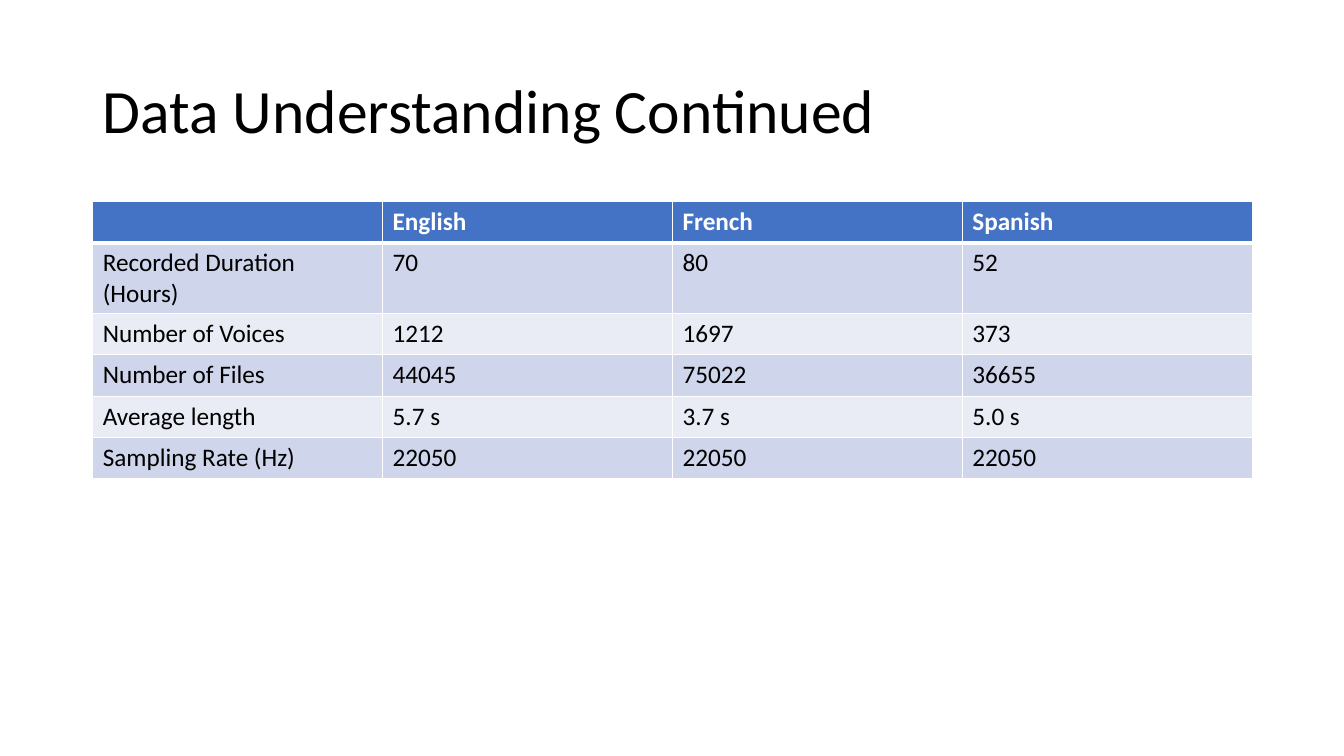
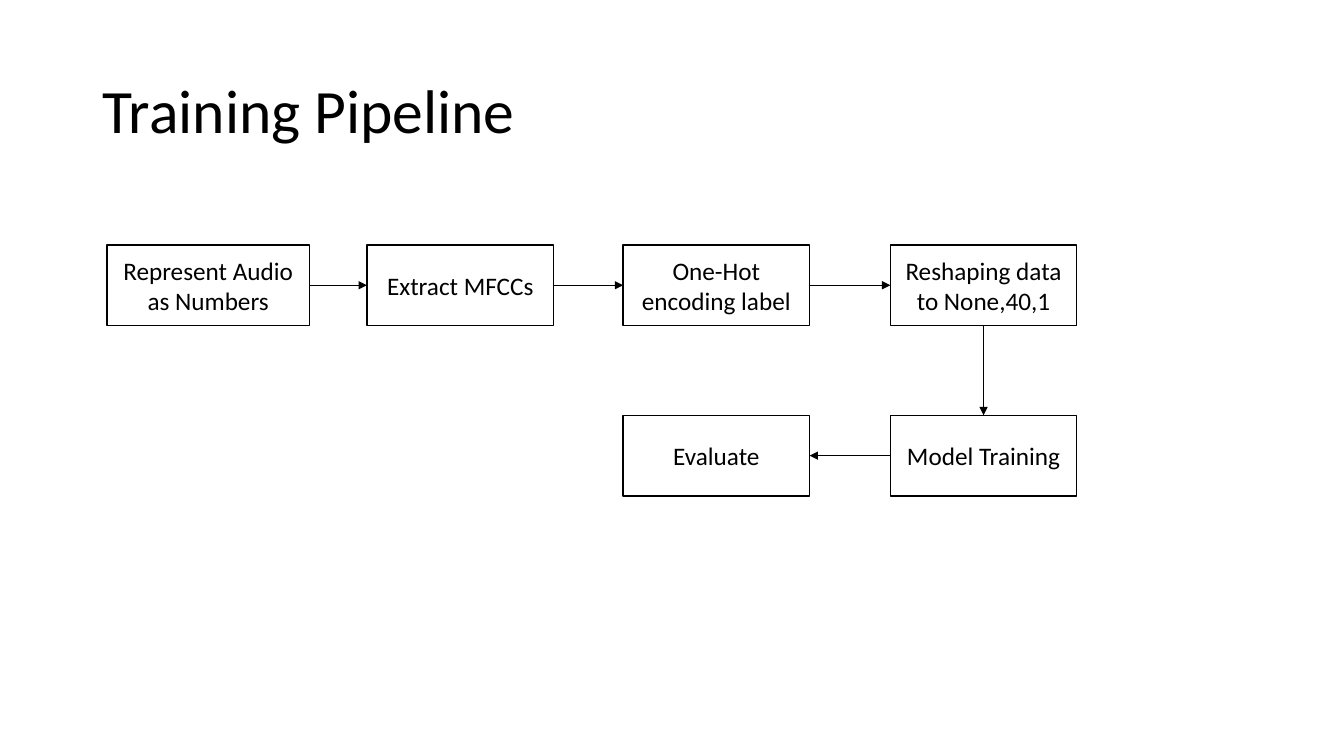
import pptx
import pptx.util
import pptx.dml.color
import pptx.enum.shapes
import pptx.enum.text
import pptx.oxml
import pptx.oxml.ns
import lxml.etree

Inches, Pt = pptx.util.Inches, pptx.util.Pt
ANCHOR = pptx.enum.text.MSO_ANCHOR
ALIGN = pptx.enum.text.PP_ALIGN
qn = pptx.oxml.ns.qn

# Shared style
FONT = "Calibri"
BLACK, WHITE = "000000", "FFFFFF"
HEADER_FILL = "4472C4"
BAND_FILLS = ["CFD5EA", "E9EBF5"]
LEFT, CONTENT_W = 0.92, 11.5

# Slide 1 content
TABLE_TITLE = "Data Understanding Continued"
TABLE_ROWS = [
    ["", "English", "French", "Spanish"],
    ["Recorded Duration (Hours)", "70", "80", "52"],
    ["Number of Voices", "1212", "1697", "373"],
    ["Number of Files", "44045", "75022", "36655"],
    ["Average length", "5.7 s", "3.7 s", "5.0 s"],
    ["Sampling Rate (Hz)", "22050", "22050", "22050"],
]
TABLE_TOP, ROW_H = 2, 0.41

# Slide 2 content: steps in order as (text, left, top, width)
PIPELINE_TITLE = "Training Pipeline"
ROW_1, ROW_2 = 2.43, 4.12
STEP_W, STEP_H = 1.85, 0.8
STEPS = [
    ("Represent Audio as Numbers", 1.06, ROW_1, 2.01),
    ("Extract MFCCs", 3.64, ROW_1, STEP_W),
    ("One-Hot encoding label", 6.18, ROW_1, STEP_W),
    ("Reshaping data to None,40,1", 8.83, ROW_1, STEP_W),
    ("Model Training", 8.83, ROW_2, STEP_W),
    ("Evaluate", 6.18, ROW_2, STEP_W),
]
# Rectangle connection sites
TOP, LEFT_SIDE, BOTTOM, RIGHT_SIDE = range(4)


def rgb(value):
    return pptx.dml.color.RGBColor.from_string(value)


def write(tf, text, size=18, color=BLACK, bold=False, align=ALIGN.LEFT,
          anchor=ANCHOR.TOP, spacing=1.0):
    tf.word_wrap = True
    tf.vertical_anchor = anchor
    p = tf.paragraphs[0]
    p.alignment = align
    p.line_spacing = spacing
    r = p.add_run()
    r.text = text
    r.font.name, r.font.size, r.font.bold = FONT, Pt(size), bold
    r.font.color.rgb = rgb(color)


def add_titled_slide(prs, title):
    s = prs.slides.add_slide(prs.slide_layouts[6])
    box = s.shapes.add_textbox(Inches(LEFT), Inches(0.4), Inches(CONTENT_W), Inches(1.45))
    write(box.text_frame, title, size=44, anchor=ANCHOR.MIDDLE, spacing=0.9)
    return s


def set_borders(cell, **widths):
    tcPr = cell._tc.get_or_add_tcPr()
    for side in "LRTB":
        ln = lxml.etree.SubElement(tcPr, qn(f"a:ln{side}"), w=str(Pt(widths.get(side, 1))))
        fill = lxml.etree.SubElement(ln, qn("a:solidFill"))
        lxml.etree.SubElement(fill, qn("a:srgbClr"), val=WHITE)


def add_data_table(s, rows):
    n_rows, n_cols = len(rows), len(rows[0])
    table = s.shapes.add_table(n_rows, n_cols, Inches(LEFT), Inches(TABLE_TOP),
                               Inches(CONTENT_W), Inches(ROW_H * n_rows)).table
    for i, row in enumerate(rows):
        table.rows[i].height = Inches(ROW_H)
        header = i == 0
        for j, text in enumerate(row):
            cell = table.cell(i, j)
            # The rule under the header is heavier
            set_borders(cell, B=3 if header else 1, T=3 if i == 1 else 1)
            cell.fill.solid()
            cell.fill.fore_color.rgb = rgb(HEADER_FILL if header else BAND_FILLS[(i - 1) % 2])
            write(cell.text_frame, text, color=WHITE if header else BLACK, bold=header)


def add_step(s, text, left, top, width):
    sp = s.shapes.add_shape(pptx.enum.shapes.MSO_SHAPE.RECTANGLE, Inches(left),
                            Inches(top), Inches(width), Inches(STEP_H))
    sp.shadow.inherit = False
    sp.fill.solid()
    sp.fill.fore_color.rgb = rgb(WHITE)
    sp.line.color.rgb = rgb(BLACK)
    sp.line.width = Pt(1)
    write(sp.text_frame, text, align=ALIGN.CENTER, anchor=ANCHOR.MIDDLE)
    return sp


def add_arrow(s, start, end):
    if start.top != end.top:
        sites = BOTTOM, TOP
    elif start.left < end.left:
        sites = RIGHT_SIDE, LEFT_SIDE
    else:
        sites = LEFT_SIDE, RIGHT_SIDE
    line = s.shapes.add_connector(pptx.enum.shapes.MSO_CONNECTOR.STRAIGHT, 0, 0, 0, 0)
    line.begin_connect(start, sites[0])
    line.end_connect(end, sites[1])
    line.line.color.rgb = rgb(BLACK)
    line.line.width = Pt(0.5)
    lxml.etree.SubElement(line.line._get_or_add_ln(), qn("a:tailEnd"), type="triangle")
    lxml.etree.SubElement(line._element.spPr, qn("a:effectLst"))


def main():
    prs = pptx.Presentation()
    prs.slide_width, prs.slide_height = Inches(13.33), Inches(7.5)

    # Data table
    s = add_titled_slide(prs, TABLE_TITLE)
    add_data_table(s, TABLE_ROWS)

    # Pipeline: each step points to the next
    s = add_titled_slide(prs, PIPELINE_TITLE)
    boxes = [add_step(s, *step) for step in STEPS]
    for start, end in zip(boxes, boxes[1:]):
        add_arrow(s, start, end)

    prs.save("out.pptx")


if __name__ == "__main__":
    main()
